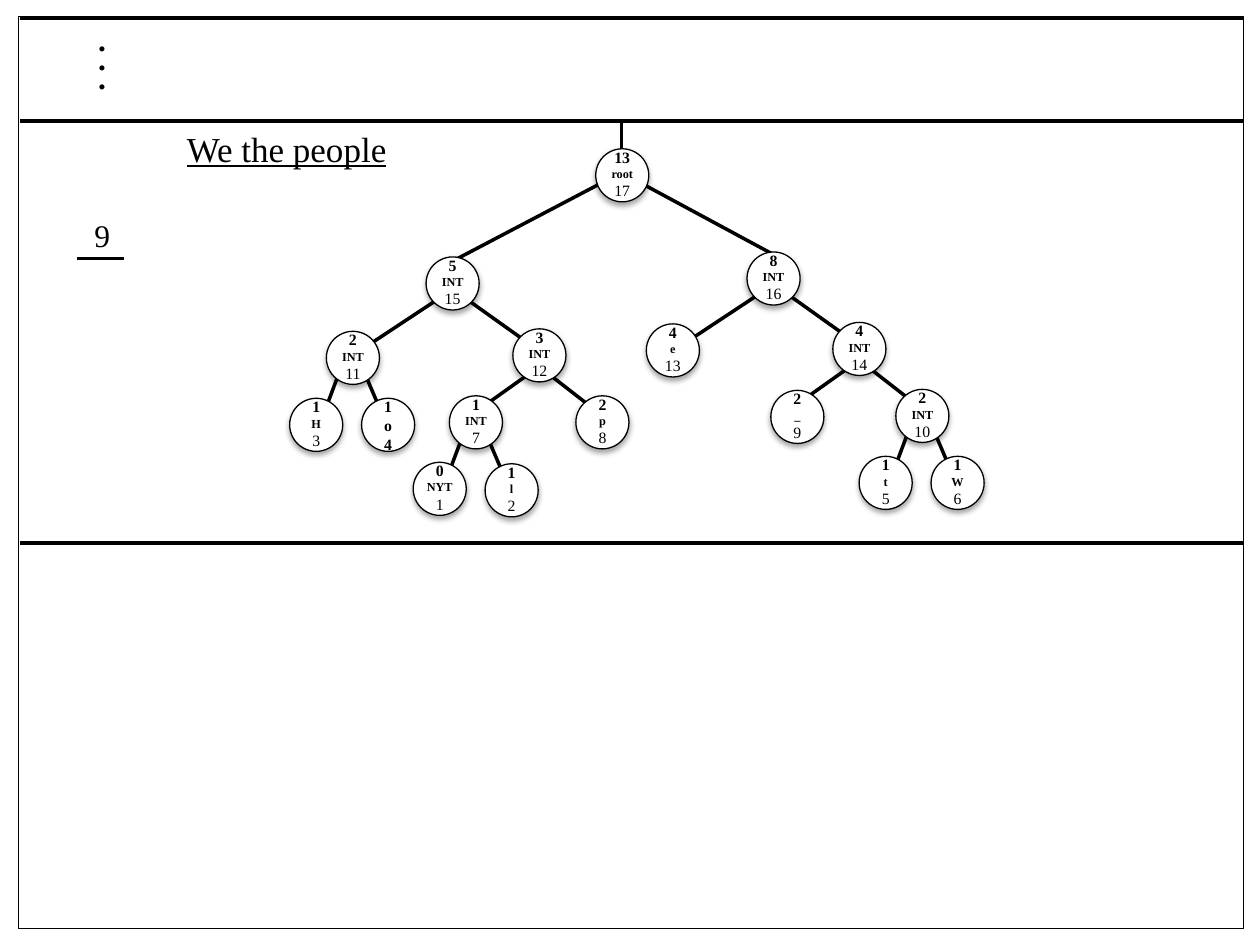
import pptx
import pptx.dml.color
import pptx.enum.shapes
import pptx.enum.text
import pptx.oxml
import pptx.oxml.ns
import pptx.util
from pptx.util import Cm

FONT = "Times New Roman"
BLACK = "000000"
WHITE = "FFFFFF"
DIAMETER = 1.07
LABEL_HEIGHT = 1.32

# Branch ends, measured from the parent circle's corner:
# (start x, start y, end x, end y) for the left and the right child.
ROOT_BRANCHES = [(0.36, 0.56, -2.84, 2.24), (0.91, 0.69, 3.58, 2.13)]
UPPER_BRANCHES = [(0.3, 0.81, -1.5, 2.0), (0.76, 0.81, 2.26, 1.88)]
LOWER_BRANCHES = [(0.53, 0.76, -0.69, 1.63), (0.53, 0.76, 1.57, 1.57)]
LEAF_BRANCHES = [(0.53, 0.1, 0, 1.52), (0.53, 0.28, 1.06, 1.52)]

# left, top, weight, symbol, number, branches to children
NODES = [
    (12.01, 3.0, "13", "root", "17", ROOT_BRANCHES),
    (8.59, 5.18, "5", "INT", "15", UPPER_BRANCHES),
    (15.06, 5.08, "8", "INT", "16", UPPER_BRANCHES),
    (6.58, 6.68, "2", "INT", "11", LEAF_BRANCHES),
    (10.34, 6.63, "3", "INT", "12", LOWER_BRANCHES),
    (13.03, 6.53, "4", "e", "13", []),
    (16.79, 6.5, "4", "INT", "14", LOWER_BRANCHES),
    (5.84, 8.03, "1", "H", "3", []),
    (7.29, 8.03, "1", "o", "4", []),
    (9.06, 7.98, "1", "INT", "7", LEAF_BRANCHES),
    (11.61, 7.98, "2", "p", "8", []),
    (15.54, 7.87, "2", "_", "9", []),
    (18.06, 7.85, "2", "INT", "10", LEAF_BRANCHES),
    (8.33, 9.32, "0", "NYT", "1", []),
    (9.78, 9.35, "1", "l", "2", []),
    (17.32, 9.2, "1", "t", "5", []),
    (18.77, 9.2, "1", "W", "6", []),
]
NODE_STYLES = [(9, True), (7, True), (9, False)]
EMPHASIZED_STYLES = [(9, True)] * 3
EMPHASIZED_SYMBOL = "o"


def color(value):
    """Turn a hex string into a colour."""
    return pptx.dml.color.RGBColor.from_string(value)


def add_line(slide, start_x, start_y, end_x, end_y):
    """Draw a straight black line without a shadow."""
    line = slide.shapes.add_connector(
        pptx.enum.shapes.MSO_CONNECTOR.STRAIGHT,
        Cm(start_x), Cm(start_y), Cm(end_x), Cm(end_y))
    line.line.color.rgb = color(BLACK)
    line.line.width = pptx.util.Pt(2)
    line._element.spPr.append(pptx.oxml.parse_xml(
        "<a:effectLst %s/>" % pptx.oxml.ns.nsdecls("a")))


def add_outline(slide, kind, left, top, width, height):
    """Draw a thinly outlined preset shape and return it."""
    shape = slide.shapes.add_shape(kind, Cm(left), Cm(top), Cm(width), Cm(height))
    shape.shadow.inherit = False
    shape.fill.background()
    shape.line.color.rgb = color(BLACK)
    shape.line.width = pptx.util.Pt(0.75)
    return shape


def add_text(slide, box, lines, styles, spacing=None, underline=None, inset=None):
    """Add centred lines of text, each with its own (size, bold) style."""
    frame = slide.shapes.add_textbox(*[Cm(length) for length in box]).text_frame
    frame.word_wrap = True
    if inset is not None:
        frame.margin_left = frame.margin_right = Cm(inset)
    frame.text = "\n".join(lines)
    for paragraph, (size, bold) in zip(frame.paragraphs, styles):
        paragraph.alignment = pptx.enum.text.PP_ALIGN.CENTER
        paragraph.line_spacing = spacing
        paragraph.font.name = FONT
        paragraph.font.size = pptx.util.Pt(size)
        paragraph.font.bold = bold
        paragraph.font.underline = underline
        paragraph.font.color.rgb = color(BLACK)


def add_soft_shadow(shape):
    """Give a shape a faint shadow below it."""
    effects = shape._element.spPr.find(pptx.oxml.ns.qn("a:effectLst"))
    effects.append(pptx.oxml.parse_xml(
        '<a:outerShdw %s blurRad="%d" dist="%d" dir="5400000" rotWithShape="0">'
        '<a:srgbClr val="%s"><a:alpha val="35000"/></a:srgbClr></a:outerShdw>'
        % (pptx.oxml.ns.nsdecls("a"), pptx.util.Pt(3.1), pptx.util.Pt(1.8), BLACK)))


def add_node(slide, left, top, lines):
    """Draw one tree node with its weight, symbol and number."""
    circle = add_outline(slide, pptx.enum.shapes.MSO_SHAPE.OVAL,
                         left, top, DIAMETER, DIAMETER)
    circle.fill.solid()
    circle.fill.fore_color.rgb = color(WHITE)
    add_soft_shadow(circle)
    styles = EMPHASIZED_STYLES if lines[1] == EMPHASIZED_SYMBOL else NODE_STYLES
    label_top = top - (LABEL_HEIGHT - DIAMETER) / 2 - 0.03
    add_text(slide, (left, label_top, DIAMETER, LABEL_HEIGHT), lines, styles, inset=0)


def add_tree(slide):
    """Draw all branches, then the nodes over them."""
    add_line(slide, 12.53, 3.5, 12.53, 2.46)
    for left, top, *_, branches in NODES:
        for start_x, start_y, end_x, end_y in branches:
            add_line(slide, left + start_x, top + start_y, left + end_x, top + end_y)
    for left, top, *lines, _ in NODES:
        add_node(slide, left, top, lines)


def main():
    """Build the slide and save it."""
    presentation = pptx.Presentation()
    presentation.slide_width, presentation.slide_height = Cm(25.4), Cm(19.05)
    slide = presentation.slides.add_slide(presentation.slide_layouts[6])

    add_outline(slide, pptx.enum.shapes.MSO_SHAPE.RECTANGLE, 0.38, 0.33, 24.69, 18.39)
    for height in (0.36, 2.44, 10.95):
        add_line(slide, 0.41, height, 25.06, height)
    add_text(slide, (1.35, 0.61, 1.42, 1.47), [".", ".", "."], [(18, True)] * 3,
             spacing=0.5)
    add_text(slide, (0.46, 2.44, 10.64, 1.12), ["We the people"], [(20, False)],
             underline=True)
    add_text(slide, (1.12, 4.24, 1.88, 1.02), ["9"], [(18, False)])
    add_line(slide, 1.55, 5.21, 2.51, 5.21)
    add_tree(slide)
    presentation.save("out.pptx")


main()
